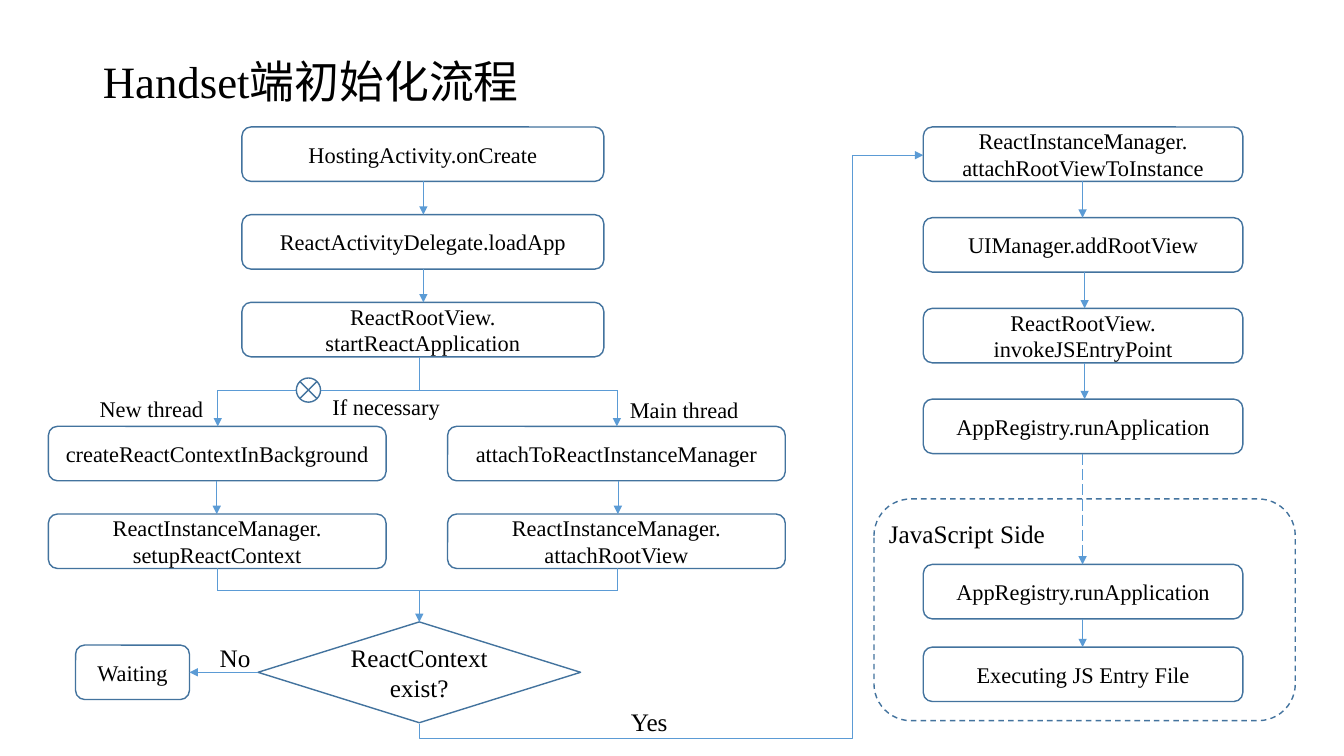
from lxml import etree
from pptx import Presentation
from pptx import util as u
from pptx.dml.color import RGBColor
from pptx.enum import dml, shapes, text
from pptx.oxml.ns import qn

PX = 9144  # EMU per px, 100 px to the inch
FONT = "Times New Roman"
COLORS = {"paper": "FFFFFF", "ink": "000000", "outline": "43739E", "flow": "5B9BD5"}
BOX_H = 54
SHAPE = shapes.MSO_SHAPE

# left, width, then (top, label) for each box of the column
COLUMNS = [
    (240, 359, [(126, "HostingActivity.onCreate"),
                (213, "ReactActivityDelegate.loadApp"),
                (300, "ReactRootView.\nstartReactApplication")]),
    (48, 335, [(423, "createReactContextInBackground"),
               (510, "ReactInstanceManager.\nsetupReactContext")]),
    (444, 335, [(423, "attachToReactInstanceManager"),
                (510, "ReactInstanceManager.\nattachRootView")]),
    (916, 317, [(126, "ReactInstanceManager.\nattachRootViewToInstance"),
                (216, "UIManager.addRootView"),
                (306, "ReactRootView.\ninvokeJSEntryPoint"),
                (396, "AppRegistry.runApplication"),
                (560, "AppRegistry.runApplication"),
                (642, "Executing JS Entry File")]),
    (75, 113, [(640, "Waiting")]),
]
PLAIN_LINES = [
    (416, 354, 416, 387), (216, 387, 612, 387),
    (216, 564, 216, 586), (612, 564, 612, 586), (216, 586, 612, 586),
]
ARROWS = [
    (612, 387, 612, 423), (216, 387, 216, 423),
    (256, 667, 188, 667), (416, 586, 416, 617),
    (420, 180, 420, 213), (420, 267, 420, 300),
    (1074, 180, 1074, 216), (1076, 270, 1076, 306), (1076, 360, 1076, 396),
    (215, 477, 215, 510), (613, 477, 613, 510), (1074, 614, 1074, 642),
]
LABELS = [
    (208, 632, 65, 36, "No", 18), (616, 696, 65, 36, "Yes", 18),
    (89, 387, 127, 33, "New thread", 16), (615, 388, 132, 33, "Main thread", 16),
    (320, 385, 131, 33, "If necessary", 16),
    (872, 509, 180, 36, "JavaScript Side", 18),
]


def px(*lengths):
    return [u.Emu(n * PX) for n in lengths]


def rgb(name):
    return RGBColor.from_string(COLORS[name])


def write(tf, words, size, align):
    tf.text = words
    for p in tf.paragraphs:
        p.alignment = align
        p.font.name = FONT
        p.font.size = u.Pt(size)
        p.font.color.rgb = rgb("ink")


def add_title(slide, words):
    title = slide.shapes.title
    title.left, title.top, title.width, title.height = px(92, 40, 1150, 86)
    tf = title.text_frame
    tf.vertical_anchor = text.MSO_ANCHOR.MIDDLE
    write(tf, words, 32, text.PP_ALIGN.LEFT)
    tf.paragraphs[0].line_spacing = 0.9


def add_node(slide, kind, x, y, w, h, words="", size=16):
    sp = slide.shapes.add_shape(kind, *px(x, y, w, h))
    sp.shadow.inherit = False
    sp.fill.solid()
    sp.fill.fore_color.rgb = rgb("paper")
    sp.line.color.rgb = rgb("outline")
    sp.line.width = u.Pt(1)
    if words:
        sp.text_frame.vertical_anchor = text.MSO_ANCHOR.MIDDLE
        write(sp.text_frame, words, size, text.PP_ALIGN.CENTER)
    return sp


def add_label(slide, x, y, w, h, words, size):
    tf = slide.shapes.add_textbox(*px(x, y, w, h)).text_frame
    tf.word_wrap = False
    write(tf, words, size, text.PP_ALIGN.LEFT)


def add_line(slide, ends, arrow=True, width=0.5, dash=None,
             kind=shapes.MSO_CONNECTOR.STRAIGHT):
    line = slide.shapes.add_connector(kind, *px(*ends))
    line.line.color.rgb = rgb("flow")
    line.line.width = u.Pt(width)
    if dash:
        line.line.dash_style = dash
    props = line._element.spPr
    if arrow:
        etree.SubElement(props.find(qn("a:ln")), qn("a:tailEnd"), type="triangle")
    etree.SubElement(props, qn("a:effectLst"))
    return line


def add_yes_route(slide, x1, y1, x2, y2):
    """Leave (x1, y1) downwards, pass below and enter (x2, y2) from the left."""
    # The frame is turned by 90 degrees, so its width spans the vertical way.
    cx, cy = (x1 + x2) / 2, (y1 + y2) / 2
    half_w, half_h = (y1 - y2) / 2, (x2 - x1) / 2
    ends = [round(n) for n in (cx + half_w, cy + half_h, cx - half_w, cy - half_h)]
    route = add_line(slide, ends, kind=shapes.MSO_CONNECTOR.ELBOW)
    props = route._element.spPr
    props.find(qn("a:xfrm")).set("rot", "5400000")
    geometry = props.find(qn("a:prstGeom"))
    geometry.set("prst", "bentConnector4")
    guides = geometry.find(qn("a:avLst"))
    for name, value in (("adj1", -2500), ("adj2", 85900)):
        etree.SubElement(guides, qn("a:gd"), name=name, fmla=f"val {value}")


def main():
    prs = Presentation()
    prs.slide_width, prs.slide_height = u.Inches(13.333), u.Inches(7.5)
    slide = prs.slides.add_slide(prs.slide_layouts[5])
    add_title(slide, "Handset端初始化流程")

    for x, w, boxes in COLUMNS:
        for y, words in boxes:
            add_node(slide, SHAPE.ROUNDED_RECTANGLE, x, y, w, BOX_H, words)
    add_node(slide, SHAPE.DIAMOND, 256, 617, 320, 100, "ReactContext exist?", 18)

    for ends in PLAIN_LINES:
        add_line(slide, ends, arrow=False)
    for ends in ARROWS:
        add_line(slide, ends)
    add_yes_route(slide, 416, 718, 916, 153)
    add_line(slide, (1074, 450, 1074, 560), width=1, dash=dml.MSO_LINE.LONG_DASH)

    add_node(slide, SHAPE.FLOWCHART_SUMMING_JUNCTION, 294, 375, 24, 24)
    for label in LABELS:
        add_label(slide, *label)
    js_side = add_node(slide, SHAPE.ROUNDED_RECTANGLE, 867, 495, 418, 220)
    js_side.fill.background()
    js_side.line.dash_style = dml.MSO_LINE.DASH

    prs.save("out.pptx")


if __name__ == "__main__":
    main()
